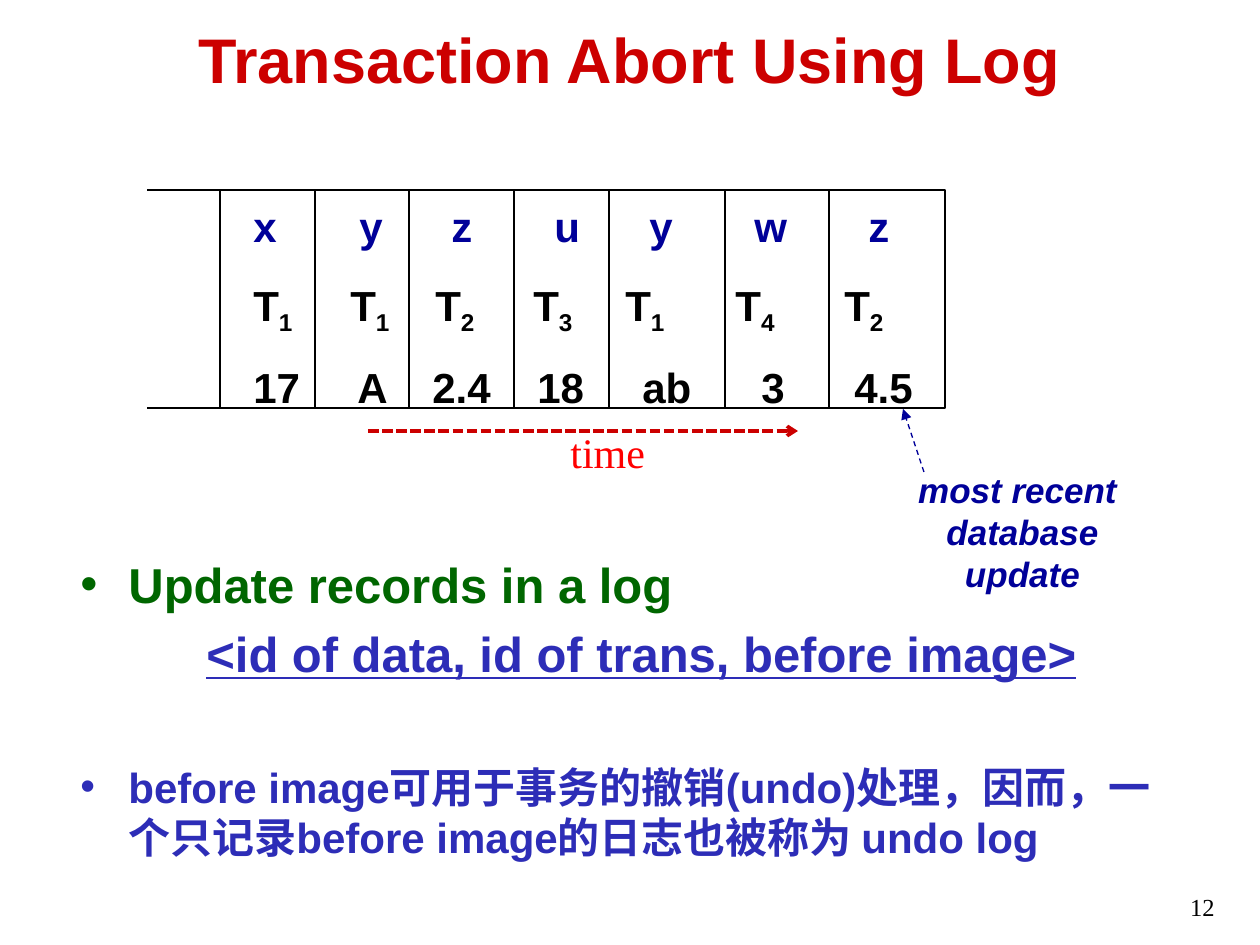
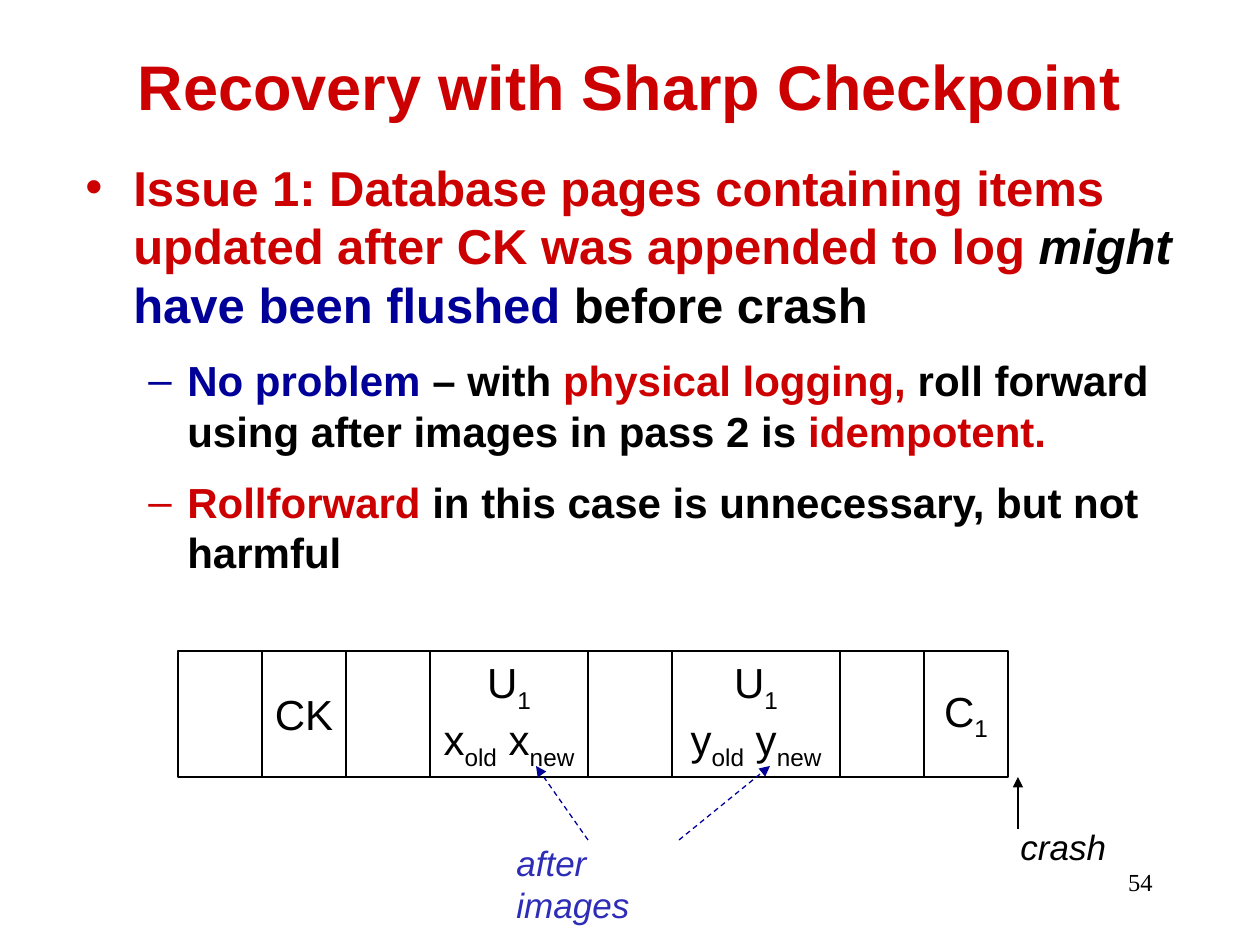
from itertools import accumulate

from lxml.etree import SubElement
from pptx import Presentation
from pptx.dml.color import RGBColor
from pptx.enum.dml import MSO_LINE
from pptx.enum.shapes import MSO_CONNECTOR, MSO_SHAPE
from pptx.enum.text import MSO_ANCHOR, MSO_AUTO_SIZE, PP_ALIGN
from pptx.oxml.ns import qn
from pptx.util import Emu, Pt

SCALE = 914400 / 126
HUES = {
    "black": "000000",
    "white": "FFFFFF",
    "red": "CC0000",
    "bright": "FF0000",
    "navy": "000099",
    "blue": "2D2DB7",
    "green": "006600",
}
SANS = {"name": "Arial", "size": Pt(24), "hue": "black"}
BOLD = {**SANS, "bold": True}
LEAD = {**BOLD, "size": Pt(28)}
TITLE = {**BOLD, "size": Pt(36), "hue": "red"}
NOTE = {**SANS, "size": Pt(20), "italic": True}
SERIF = {"name": "Times New Roman", "size": Pt(24), "hue": "bright"}
FOOT = {**SERIF, "size": Pt(14), "hue": "black"}
LOW = {"low": True}
CENTER = {"alignment": PP_ALIGN.CENTER}
FREE = {"word_wrap": False, "auto_size": MSO_AUTO_SIZE.SHAPE_TO_FIT_TEXT}
BULLET = {"left": 48, "hang": -48, "mark": "•"}
DASH = {"left": 102, "hang": -39, "mark": "–", "level": 1, "space_before": Pt(12)}


def px(count):
    return Emu(round(count * SCALE))


def hue(name):
    return RGBColor.from_string(HUES[name])


def apply(item, values):
    for key, value in values.items():
        setattr(item, key, value)


def indent(para, left=0, hang=0, mark=None, stops=()):
    props = para._p.get_or_add_pPr()
    if left:
        props.set("marL", str(px(left)))
        props.set("indent", str(px(hang)))
    if mark:
        SubElement(props, qn("a:buFont"), typeface="Arial")
        SubElement(props, qn("a:buChar"), char=mark)
    if stops:
        tabs = SubElement(props, qn("a:tabLst"))
        for stop in stops:
            SubElement(tabs, qn("a:tab"), pos=str(px(stop)), algn="l")


def write(frame, paras, base, form=None):
    for index, (runs, extra) in enumerate(paras):
        para = frame.paragraphs[0] if index == 0 else frame.add_paragraph()
        extra = {**(form or {}), **extra}
        keys = ("left", "hang", "mark", "stops")
        indent(para, **{key: extra.pop(key) for key in keys if key in extra})
        apply(para, extra)
        for words, change in runs:
            style = {**base, **change}
            run = para.add_run()
            run.text = words
            run.font.color.rgb = hue(style.pop("hue"))
            if style.pop("low", False):
                run._r.get_or_add_rPr().set("baseline", "-25000")
            apply(run.font, style)


def plain(words, **extra):
    return [([(words, {})], extra)]


def text(slide, box, paras, base, form=None, frame=None):
    shape = slide.shapes.add_textbox(*map(px, box))
    apply(shape.text_frame, {"word_wrap": True, **(frame or {})})
    write(shape.text_frame, paras, base, form)


def rect(slide, box, fill=None):
    shape = slide.shapes.add_shape(MSO_SHAPE.RECTANGLE, *map(px, box))
    shape.shadow.inherit = False
    if fill:
        shape.fill.solid()
        shape.fill.fore_color.rgb = hue(fill)
    else:
        shape.fill.background()
    shape.line.color.rgb = hue("black")
    shape.line.width = Pt(0.75)
    return shape


def line(slide, ends, tint="black", width=0.75, dash=None, head=None):
    link = slide.shapes.add_connector(MSO_CONNECTOR.STRAIGHT, *map(px, ends))
    link.line.color.rgb = hue(tint)
    apply(link.line, {"width": Pt(width), **({"dash_style": dash} if dash else {})})
    props = link._element.spPr
    if head:
        SubElement(props.find(qn("a:ln")), qn("a:tailEnd"), type=head)
    SubElement(props, qn("a:effectLst"))


def title(slide, box, words):
    text(slide, box, plain(words), TITLE, CENTER, {"vertical_anchor": MSO_ANCHOR.MIDDLE})


def footer(slide, box, number):
    text(slide, box, plain(number), FOOT, {"alignment": PP_ALIGN.RIGHT})


def row(cells, stops):
    runs = []
    for index, cell in enumerate(cells):
        base, _, low = cell.partition("_")
        runs.append(((chr(9) if index else "") + base, {}))
        if low:
            runs.append((low, LOW))
    return runs, {"stops": stops, "line_spacing": 1.5}


def log(slide, box):
    left, top, width, height = box
    names, trans, olds = (
        row("x y z u y w z".split(), (106, 198, 301, 396, 501, 615)),
        row("T_1 T_1 T_2 T_3 T_1 T_4 T_2".split(), (97, 182, 280, 372, 482, 591)),
        row("17 A 2.4 18 ab 3 4.5".split(), (104, 179, 284, 389, 508, 601)),
    )
    names = [(words, {"hue": "navy"}) for words, _ in names[0]], names[1]
    text(slide, (left + 21, top - 21, 707, 242), [names, trans, olds], BOLD)
    rect(slide, box)
    for step in accumulate((95, 94, 105, 95, 116, 104)):
        line(slide, (left + step, top, left + step, top + height))
    for edge in (top, top + height):
        line(slide, (left + 6, edge, left - 73, edge))


def time(slide, box):
    left, top, width, height = box
    line(slide, (left, top, left + width, top), "red", 2, MSO_LINE.SQUARE_DOT, "arrow")
    text(slide, (left + 190, top - 11, 101, height), plain("time"), SERIF, frame=FREE)


def recent(slide, box):
    left, top, width, height = box
    paras = plain("most recent ") + plain("database update")
    text(slide, box, paras, {**NOTE, "bold": True, "hue": "navy"}, CENTER, FREE)
    ends = (left + 52, top + 10, left + 31, top - 53)
    line(slide, ends, "navy", dash=MSO_LINE.DASH, head="triangle")


def abort(slide):
    log(slide, (220, 190, 725, 218))
    footer(slide, (1094, 886, 133, 43), "12")
    paras = [
        ([("Update records in a log", {"hue": "green"})], BULLET),
        (
            [("<id of data, id of trans, before image>", {"hue": "blue", "underline": True})],
            {"left": 126, "level": 2, "space_before": Pt(6)},
        ),
    ]
    text(slide, (68, 548, 1105, 144), paras, LEAD)
    recent(slide, (872, 462, 301, 97))
    time(slide, (368, 431, 430, 64))
    title(slide, (94, 21, 1071, 74), "Transaction Abort Using Log")
    words = "before image可用于事务的撤销(undo)处理，因而，一个只记录before image的日志也被称为 undo log"
    text(slide, (68, 755, 1105, 115), plain(words, **BULLET), {**BOLD, "hue": "blue"})


def issue(slide, box):
    red, navy = {"hue": "red"}, {"hue": "navy"}
    small = {"size": Pt(24)}
    paras = [
        (
            [
                ("Issue 1: Database pages containing items updated after CK was appended to log ", red),
                ("might ", {"italic": True}),
                ("have been flushed", navy),
                (" before crash", {}),
            ],
            BULLET,
        ),
        (
            [
                ("No problem ", {**small, **navy}),
                ("– with ", small),
                ("physical logging,", {**small, **red}),
                (" roll forward using after images in pass 2 is ", small),
                ("idempotent.", {**small, **red}),
            ],
            DASH,
        ),
        (
            [
                ("Rollforward", {**small, **red}),
                (" in this case is unnecessary, but not harmful", small),
            ],
            DASH,
        ),
    ]
    text(slide, box, paras, LEAD)


def update(item):
    pair = [(item, {}), ("old", LOW), (" " + item, {}), ("new", LOW)]
    return [([("U", {}), ("1", LOW)], {}), (pair, {})]


def strip(slide, box):
    left, top, width, height = box
    commit = [([("C", {}), ("1", LOW)], {})]
    cells = (
        (84, []), (84, plain("CK")), (84, []), (158, update("x")),
        (84, []), (168, update("y")), (84, []), (84, commit),
    )
    for span, paras in cells:
        cell = rect(slide, (left, top, span, height), "white")
        apply(cell.text_frame, {"word_wrap": False, "vertical_anchor": MSO_ANCHOR.MIDDLE})
        write(cell.text_frame, paras, SANS, CENTER)
        left += span


def crash(slide, box):
    left, top, width, height = box
    text(slide, box, plain("crash"), NOTE, frame=FREE)
    line(slide, (left + 10, top + 10, left + 10, top - 42), head="triangle")


def after(slide, box):
    left, top, width, height = box
    text(slide, box, plain("after images"), {**NOTE, "hue": "blue"})
    for start, end in ((84, 32), (175, 266)):
        ends = (left + start, top + 5, left + end, top - 69)
        line(slide, ends, "navy", dash=MSO_LINE.DASH, head="triangle")


def sharp(slide):
    footer(slide, (903, 861, 262, 63), "54")
    title(slide, (94, 43, 1071, 84), "Recovery with Sharp Checkpoint")
    issue(slide, (73, 151, 1134, 441))
    strip(slide, (178, 651, 830, 126))
    crash(slide, (1008, 819, 111, 54))
    after(slide, (504, 835, 200, 94))


def main():
    deck = Presentation()
    apply(deck, {"slide_width": px(1260), "slide_height": px(945)})
    for build in (abort, sharp):
        build(deck.slides.add_slide(deck.slide_layouts[6]))
    deck.save("out.pptx")


if __name__ == "__main__":
    main()
